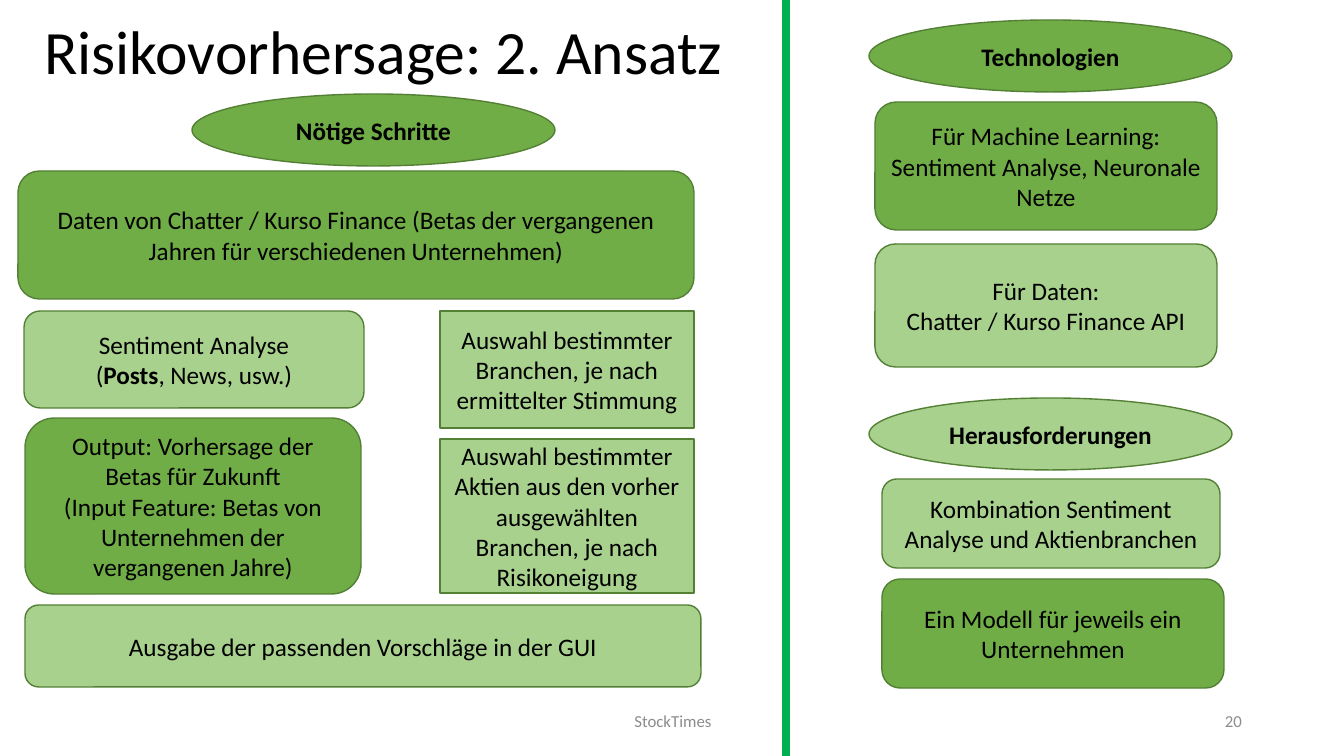
"""Builds the slide on the second approach to risk prediction."""
import pptx
import pptx.util
import pptx.dml.color
import pptx.enum.shapes
import pptx.enum.text
import pptx.oxml.ns
from lxml import etree
from dataclasses import dataclass

TITLE = "Risikovorhersage: 2. Ansatz"
TITLE_AREA = (34, 14, 712, 82)
DIVIDER_X = 786

HEADINGS = [
    (192, 94, "dark", "Nötige Schritte"),
    (869, 20, "dark", "Technologien"),
    (869, 398, "light", "Herausforderungen"),
]
HEADING_SIZE = (363, 72)

CARDS = [
    ("round", (18, 171, 676, 128), "dark",
     [["Daten von Chatter / Kurso Finance (Betas der vergangenen Jahren für verschiedenen Unternehmen)"]]),
    ("round", (24, 311, 340, 97), "light",
     [["Sentiment Analyse"], ["(", ("Posts", True), ", News, usw.)"]]),
    ("round", (25, 418, 336, 176), "dark",
     [["Output: Vorhersage der Betas für Zukunft"],
      ["(Input Feature: Betas von Unternehmen der vergangenen Jahre)"]]),
    ("square", (440, 311, 254, 117), "light",
     [["Auswahl bestimmter Branchen, je nach ermittelter Stimmung"]]),
    ("square", (440, 439, 254, 154), "light",
     [["Auswahl bestimmter Aktien aus den vorher ausgewählten Branchen, je nach Risikoneigung"]]),
    ("round", (25, 605, 676, 82), "light",
     [["Ausgabe der passenden Vorschläge in der GUI"]]),
    ("round", (875, 102, 342, 128), "dark",
     [["Für Machine Learning:"], ["Sentiment Analyse, Neuronale Netze"]]),
    ("round", (875, 244, 342, 123), "light",
     [["Für Daten:"], ["Chatter / Kurso Finance API"]]),
    ("round", (882, 479, 338, 89), "light",
     [["Kombination Sentiment Analyse und Aktienbranchen"]]),
    ("round", (882, 579, 342, 109), "dark",
     [["Ein Modell für jeweils ein Unternehmen"]]),
]

FOOTERS = [
    ((446, 701, 454, 40), "CENTER", "StockTimes"),
    ((950, 701, 302, 40), "RIGHT", "20"),
]


@dataclass(frozen=True)
class Theme:
    font: str = "Calibri"
    dark: str = "70AD47"
    light: str = "A9D18E"
    outline: str = "538035"
    divider: str = "00B050"
    text: str = "000000"
    muted: str = "8C8C8C"
    title_size: int = 44
    body_size: int = 18
    footer_size: int = 12


THEME = Theme()
ALIGN = pptx.enum.text.PP_ALIGN
SHAPE = pptx.enum.shapes.MSO_SHAPE
KINDS = {"round": SHAPE.ROUNDED_RECTANGLE, "square": SHAPE.RECTANGLE, "oval": SHAPE.OVAL}


def px(length):
    return pptx.util.Emu(round(length * 914400 / 100.8))


def color(value):
    return pptx.dml.color.RGBColor.from_string(value)


def write(box, paragraphs, size, ink=THEME.text, align=ALIGN.CENTER, bold=False):
    frame = box.text_frame
    settings = {"word_wrap": True, "auto_size": pptx.enum.text.MSO_AUTO_SIZE.NONE,
                "vertical_anchor": pptx.enum.text.MSO_ANCHOR.MIDDLE}
    for name, value in settings.items():
        setattr(frame, name, value)
    for index, spans in enumerate(paragraphs):
        para = frame.add_paragraph() if index else frame.paragraphs[0]
        para.alignment = align
        for part in spans:
            text, strong = (part, bold) if isinstance(part, str) else part
            span = para.add_run()
            span.text = text
            style = {"name": THEME.font, "size": pptx.util.Pt(size), "bold": strong}
            for name, value in style.items():
                setattr(span.font, name, value)
            span.font.color.rgb = color(ink)


def add_card(page, kind, area, tone, paragraphs, bold=False):
    card = page.shapes.add_shape(KINDS[kind], *map(px, area))
    card.shadow.inherit = False
    card.fill.solid()
    card.fill.fore_color.rgb = color(getattr(THEME, tone))
    card.line.color.rgb = color(THEME.outline)
    card.line.width = pptx.util.Pt(1)
    write(card, paragraphs, THEME.body_size, bold=bold)


def add_divider(page, height):
    divider = page.shapes.add_connector(
        pptx.enum.shapes.MSO_CONNECTOR.STRAIGHT, px(DIVIDER_X), 0, px(DIVIDER_X), height)
    divider.line.color.rgb = color(THEME.divider)
    divider.line.width = pptx.util.Pt(6)
    etree.SubElement(divider._element.spPr, pptx.oxml.ns.qn("a:effectLst"))


def add_title(page):
    title = page.shapes.title
    for name, value in zip(("left", "top", "width", "height"), TITLE_AREA):
        setattr(title, name, px(value))
    write(title, [[TITLE]], THEME.title_size, align=ALIGN.LEFT)
    title.text_frame.paragraphs[0].line_spacing = 0.9


def main():
    deck = pptx.Presentation()
    deck.slide_width, deck.slide_height = px(1344), px(756)
    page = deck.slides.add_slide(deck.slide_layouts[5])
    add_title(page)
    add_divider(page, deck.slide_height)
    for card in CARDS:
        add_card(page, *card)
    for left, top, tone, heading in HEADINGS:
        add_card(page, "oval", (left, top, *HEADING_SIZE), tone, [[heading]], bold=True)
    for area, align, text in FOOTERS:
        footer = page.shapes.add_textbox(*map(px, area))
        write(footer, [[text]], THEME.footer_size, THEME.muted, ALIGN[align])
    deck.save("out.pptx")


if __name__ == "__main__":
    main()
